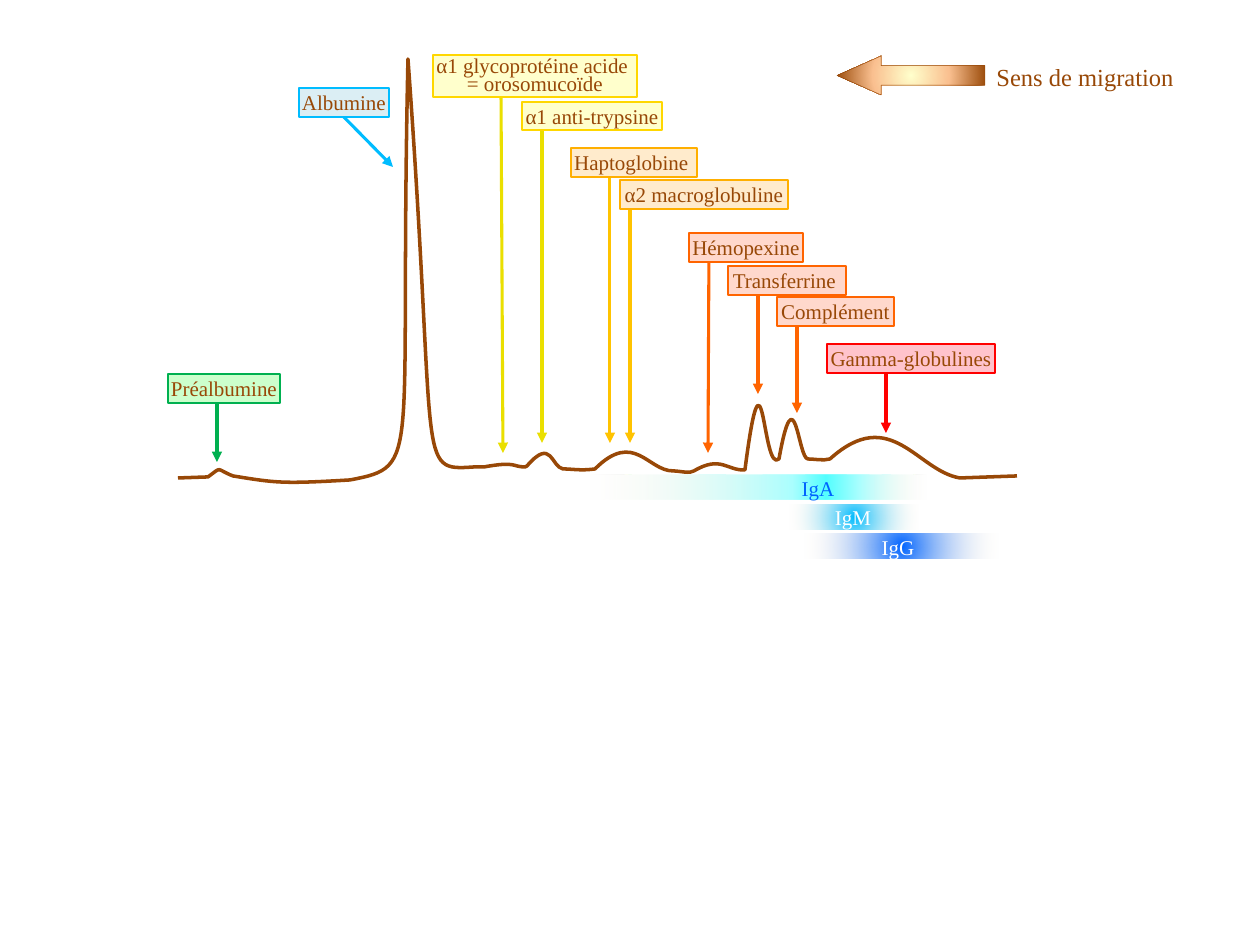
from lxml.etree import SubElement
from pptx import Presentation
from pptx.dml.color import RGBColor
from pptx.enum.shapes import MSO_CONNECTOR as Connector, MSO_SHAPE as Preset
from pptx.enum.text import MSO_ANCHOR as Anchor, PP_ALIGN as Align
from pptx.oxml.ns import qn
from pptx.util import Pt

PX = 914400 / 126
BROWN = "984807"
FONT = "Times New Roman"

TRACE_START = (178, 478)
TRACE = [
    [(208, 477)],
    [(223, 466), (215, 469), (233, 476)],
    [(276, 483), (282, 484), (350, 480)],
    [(423, 466), (399, 465), (408, 59)],
    [(438, 469), (415, 471), (474, 467)],
    [(484, 467)],
    [(517, 461), (512, 467), (525, 467)],
    [(527, 466)],
    [(552, 437), (551, 467), (563, 469)],
    [(573, 469), (580, 471), (595, 469)],
    [(634, 430), (648, 471), (673, 471)],
    [(680, 471), (690, 474), (694, 471)],
    [(721, 455), (727, 471), (745, 470)],
    [(764, 323), (762, 475), (779, 459)],
    [(795, 370), (798, 459), (808, 459)],
    [(815, 459), (823, 461), (830, 459)],
    [(891, 404), (917, 471), (960, 478)],
    [(1017, 476)],
]

GREEN = ("CCFFCC", "00B050", "00B050")
BLUE = ("DBEEF4", "00BCFF", "00BCFF")
YELLOW = ("FFFFCC", "FFD700", "EADF00")
AMBER = ("FFEBCC", "FFAF00", "FFC300")
ORANGE = ("FFD8CC", "FF6400", "FF6400")
RED = ("FFC3CC", "FF0000", "FF0000")

PROTEINS = [
    ("Albumine", (299, 88, 90, 29), (335, 108, 393, 167), BLUE),
    ("Haptoglobine ", (571, 148, 126, 29), (610, 168, 610, 443), AMBER),
    ("α2 macroglobuline", (620, 180, 168, 29), (630, 203, 630, 443), AMBER),
    ("Hémopexine", (689, 233, 114, 29), (709, 246, 708, 453), ORANGE),
    ("Transferrine ", (728, 266, 118, 29), (758, 286, 758, 394), ORANGE),
    ("Complément", (777, 297, 117, 29), (797, 315, 797, 413), ORANGE),
    ("Gamma-globulines", (827, 344, 168, 29), (886, 364, 886, 433), RED),
    ("α1 glycoprotéine acide \n= orosomucoïde", (433, 55, 204, 42),
     (501, 88, 503, 453), YELLOW),
    ("α1 anti-trypsine", (522, 102, 140, 28), (542, 118, 542, 443), YELLOW),
    ("Préalbumine", (168, 374, 112, 29), (217, 384, 217, 462), GREEN),
]

CLEAR = ("FDF3E4", 0)
IMMUNOGLOBULINS = [
    ("IgM", (790, 505, 129, 25), [(0, "00BCFF", 100), (100, *CLEAR)], True,
     (828, 503, 50, 29), "FFFFFF"),
    ("IgA", (591, 475, 335, 25),
     [(0, *CLEAR), (60, "ABFFFF", 100), (70, "53FFFF", 100),
      (80, "ABFFFF", 100), (100, *CLEAR)], False,
     (793, 474, 50, 29), "0064FF"),
    ("IgG", (804, 534, 194, 25), [(0, "0064FF", 100), (100, *CLEAR)], True,
     (873, 533, 50, 29), "FFFFFF"),
]


def px(*lengths):
    return [round(length * PX) for length in lengths]


def color(value):
    return RGBColor.from_string(value)


def write(shape, text, size, ink, align=Align.CENTER, tight=True, spacing=None):
    frame = shape.text_frame
    frame.text = text
    frame.word_wrap = False
    frame.vertical_anchor = Anchor.MIDDLE
    if tight:
        frame.margin_left, frame.margin_right = px(3, 3)
        frame.margin_top, frame.margin_bottom = px(5 if spacing else 1, 1)
    for paragraph in frame.paragraphs:
        paragraph.alignment = align
        paragraph.line_spacing = spacing
        for run in paragraph.runs:
            run.font.name = FONT
            run.font.size = Pt(size)
            run.font.color.rgb = color(ink)


def add_preset(slide, preset, box, outline=None, width=0.75):
    shape = slide.shapes.add_shape(preset, *px(*box))
    shape.shadow.inherit = False
    if outline:
        shape.line.color.rgb = color(outline)
        shape.line.width = Pt(width)
    else:
        shape.line.fill.background()
    return shape


def fill_gradient(shape, stops, radial):
    shape.fill.gradient()
    gradient = shape._element.spPr.find(qn("a:gradFill"))
    for child in list(gradient):
        gradient.remove(child)
    stop_list = SubElement(gradient, qn("a:gsLst"))
    for position, value, opacity in stops:
        stop = SubElement(stop_list, qn("a:gs"), pos=str(position * 1000))
        tint = SubElement(stop, qn("a:srgbClr"), val=value)
        if opacity < 100:
            SubElement(tint, qn("a:alpha"), val=str(opacity * 1000))
    if radial:
        circle = SubElement(gradient, qn("a:path"), path="circle")
        SubElement(circle, qn("a:fillToRect"),
                   {side: "50000" for side in "ltrb"})
    else:
        SubElement(gradient, qn("a:lin"), ang="0", scaled="0")


def add_trace(slide):
    builder = slide.shapes.build_freeform(*TRACE_START, scale=PX)
    builder.add_line_segments([p for step in TRACE for p in step], close=False)
    trace = builder.convert_to_shape()
    trace.shadow.inherit = False
    trace.fill.background()
    trace.line.color.rgb = color(BROWN)
    trace.line.width = Pt(2)
    segments = iter(list(trace._element.iter(qn("a:lnTo"))))
    for step in TRACE:
        first = next(segments)
        if len(step) == 3:
            first.tag = qn("a:cubicBezTo")
            for _ in step[1:]:
                control = next(segments)
                first.append(control[0])
                control.getparent().remove(control)


def add_arrow(slide, ends, ink):
    arrow = slide.shapes.add_connector(Connector.STRAIGHT, *px(*ends))
    arrow.line.color.rgb = color(ink)
    arrow.line.width = Pt(1.75)
    SubElement(arrow.line._get_or_add_ln(), qn("a:tailEnd"), type="triangle")
    SubElement(arrow._element.spPr, qn("a:effectLst"))


def add_protein(slide, name, box, palette):
    label = add_preset(slide, Preset.RECTANGLE, box, palette[1])
    label.fill.solid()
    label.fill.fore_color.rgb = color(palette[0])
    write(label, name, 12, BROWN, spacing=Pt(10) if "\n" in name else None)


def add_immunoglobulin(slide, name, band_box, stops, radial, name_box, ink):
    band = add_preset(slide, Preset.RECTANGLE, band_box)
    fill_gradient(band, stops, radial)
    write(slide.shapes.add_textbox(*px(*name_box)), name, 12, ink)


def add_migration(slide):
    direction = add_preset(slide, Preset.LEFT_ARROW, (837, 56, 148, 39), BROWN, 0.25)
    direction.adjustments[0] = 0.5
    direction.adjustments[1] = 1.13
    fill_gradient(direction, [(0, "FFFFCC", 100), (50, "FAC090", 100),
                              (100, BROWN, 100)], True)
    caption = slide.shapes.add_textbox(*px(984, 55, 210, 43))
    write(caption, "Sens de migration", 14, BROWN, Align.LEFT, tight=False)


def main():
    deck = Presentation()
    deck.slide_width, deck.slide_height = px(1260, 945)
    slide = deck.slides.add_slide(deck.slide_layouts[6])
    add_trace(slide)
    for _, _, ends, palette in PROTEINS:
        add_arrow(slide, ends, palette[2])
    add_migration(slide)
    for name, box, _, palette in PROTEINS:
        add_protein(slide, name, box, palette)
    for immunoglobulin in IMMUNOGLOBULINS:
        add_immunoglobulin(slide, *immunoglobulin)
    deck.save("out.pptx")


if __name__ == "__main__":
    main()
